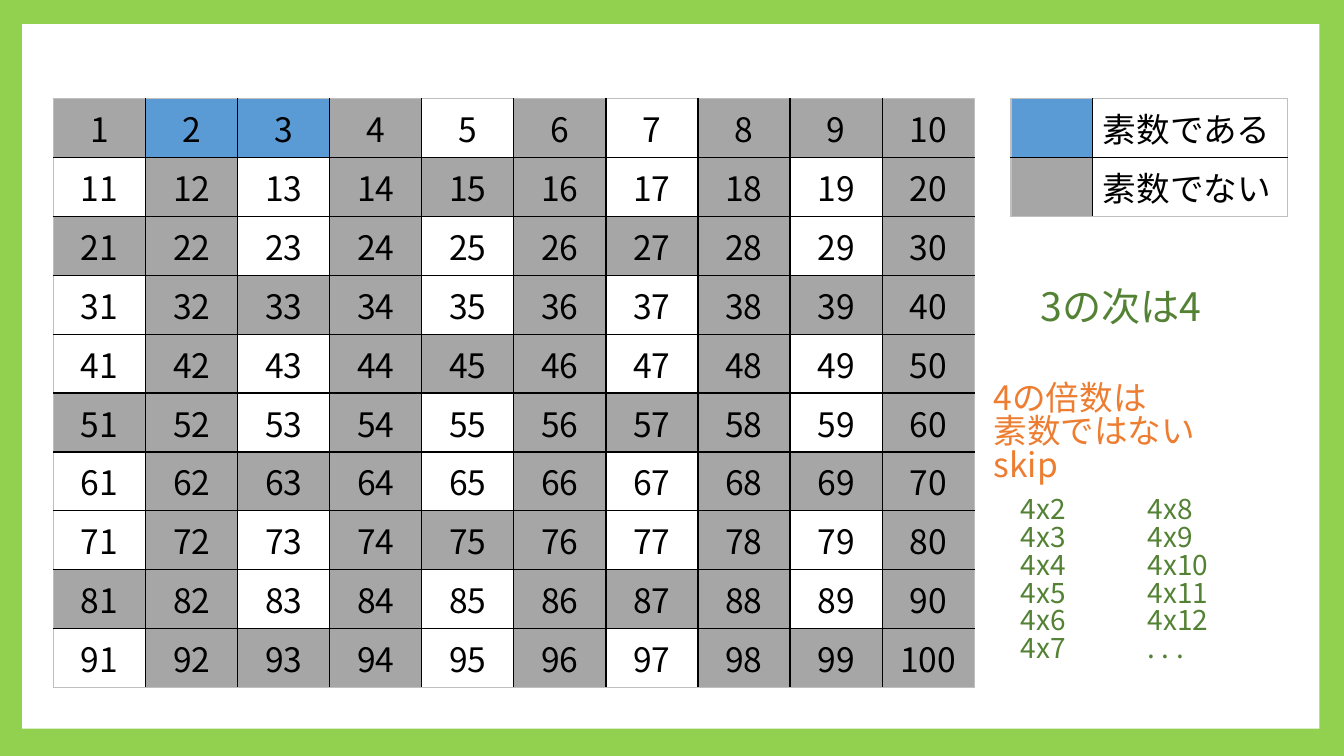
"""Build the slide that sieves the numbers 1 to 100 for primes."""
from dataclasses import dataclass
from typing import Optional

from lxml import etree
from pptx import Presentation
from pptx.dml.color import RGBColor
from pptx.enum.shapes import MSO_SHAPE
from pptx.enum.text import MSO_ANCHOR, PP_ALIGN
from pptx.oxml.ns import qn
from pptx.util import Cm, Pt

RECTANGLE = MSO_SHAPE.RECTANGLE
MIDDLE = MSO_ANCHOR.MIDDLE
LEFT, CENTER = PP_ALIGN.LEFT, PP_ALIGN.CENTER

FONT = "Noto Sans CJK JP"
LIME = RGBColor(0x92, 0xD0, 0x50)
WHITE = RGBColor(0xFF, 0xFF, 0xFF)
BLACK = RGBColor(0x00, 0x00, 0x00)
BLUE = RGBColor(0x5B, 0x9B, 0xD5)
GRAY = RGBColor(0xA6, 0xA6, 0xA6)
EDGE = RGBColor(0xBF, 0xBF, 0xBF)
GREEN = RGBColor(0x54, 0x82, 0x35)
ORANGE = RGBColor(0xED, 0x7D, 0x31)

SIDE = 10
ROW_HEIGHT = 1.48


@dataclass(frozen=True)
class CellSpec:
    text: str
    fill: Optional[RGBColor] = None


@dataclass(frozen=True)
class TableSpec:
    left: float
    top: float
    widths: list[float]
    rows: list[list[CellSpec]]
    align: PP_ALIGN


@dataclass(frozen=True)
class Note:
    left: float
    top: float
    width: float
    height: float
    size: int
    color: RGBColor
    lines: list[str]


def number_cell(n: int) -> CellSpec:
    if n in (2, 3):
        return CellSpec(str(n), BLUE)
    crossed_out = n == 1 or n % 2 == 0 or n % 3 == 0
    return CellSpec(str(n), GRAY if crossed_out else None)


TABLES = [
    TableSpec(1.35, 2.49, [2.32] * SIDE,
              [[number_cell(SIDE * i + j + 1) for j in range(SIDE)]
               for i in range(SIDE)], CENTER),
    TableSpec(25.48, 2.49, [2.06, 4.9],
              [[CellSpec("", BLUE), CellSpec("素数である")],
               [CellSpec("", GRAY), CellSpec("素数でない")]], LEFT),
]

NOTES = [
    Note(25.98, 7.18, 4.7, 1.45, 28, GREEN, ["3の次は4"]),
    Note(24.79, 9.54, 7.1, 2.31, 24, ORANGE, ["4の倍数は", "素数ではないskip"]),
    Note(25.48, 12.4, 2.3, 5.38, 20, GREEN, [f"4x{k}" for k in range(2, 8)]),
    Note(28.68, 12.4, 2.6, 5.38, 20, GREEN,
         [f"4x{k}" for k in range(8, 13)] + [". . ."]),
]


def set_font(p, size: int, color: RGBColor) -> None:
    p.font.name = FONT
    p.font.size = Pt(size)
    p.font.color.rgb = color
    props = p._p.pPr.find(qn("a:defRPr"))
    etree.SubElement(props, qn("a:ea"), typeface=FONT)


def set_borders(cell, colors: dict[str, RGBColor]) -> None:
    tc_pr = cell._tc.get_or_add_tcPr()
    for i, (tag, color) in enumerate(colors.items()):
        line = etree.Element(qn(f"a:{tag}"), w=str(Pt(1)))
        fill = etree.SubElement(line, qn("a:solidFill"))
        etree.SubElement(fill, qn("a:srgbClr"), val=str(color))
        tc_pr.insert(i, line)


def add_grid(s, spec: TableSpec) -> None:
    last_row, last_col = len(spec.rows) - 1, len(spec.widths) - 1
    frame = s.shapes.add_table(
        len(spec.rows), len(spec.widths), Cm(spec.left), Cm(spec.top),
        Cm(sum(spec.widths)), Cm(ROW_HEIGHT * len(spec.rows)))
    table = frame.table
    table.first_row = table.horz_banding = False
    for column, width in zip(table.columns, spec.widths):
        column.width = Cm(width)
    for i, row in enumerate(spec.rows):
        table.rows[i].height = Cm(ROW_HEIGHT)
        for j, item in enumerate(row):
            cell = table.cell(i, j)
            cell.vertical_anchor = MIDDLE
            if item.fill is None:
                cell.fill.background()
            else:
                cell.fill.solid()
                cell.fill.fore_color.rgb = item.fill
            set_borders(cell, {
                "lnL": EDGE if j == 0 else BLACK,
                "lnR": EDGE if j == last_col else BLACK,
                "lnT": EDGE if i == 0 else BLACK,
                "lnB": EDGE if i == last_row else BLACK,
            })
            p = cell.text_frame.paragraphs[0]
            if item.text:
                p.text = item.text
            p.alignment = spec.align
            set_font(p, 24, BLACK)


def add_note(s, note: Note) -> None:
    box = s.shapes.add_textbox(Cm(note.left), Cm(note.top),
                               Cm(note.width), Cm(note.height))
    tf = box.text_frame
    tf.word_wrap = True
    for i, line in enumerate(note.lines):
        p = tf.add_paragraph() if i else tf.paragraphs[0]
        p.text = line
        p.line_spacing = 0.83
        set_font(p, note.size, note.color)


def main() -> None:
    prs = Presentation()
    prs.slide_width, prs.slide_height = Cm(33.87), Cm(19.05)
    s = prs.slides.add_slide(prs.slide_layouts[6])
    s.background.fill.solid()
    s.background.fill.fore_color.rgb = LIME

    panel = s.shapes.add_shape(RECTANGLE, Cm(0.56), Cm(0.61), Cm(32.69), Cm(17.75))
    panel.shadow.inherit = False
    panel.fill.solid()
    panel.fill.fore_color.rgb = WHITE
    panel.line.fill.background()

    for spec in TABLES:
        add_grid(s, spec)
    for note in NOTES:
        add_note(s, note)
    prs.save("out.pptx")


if __name__ == "__main__":
    main()
